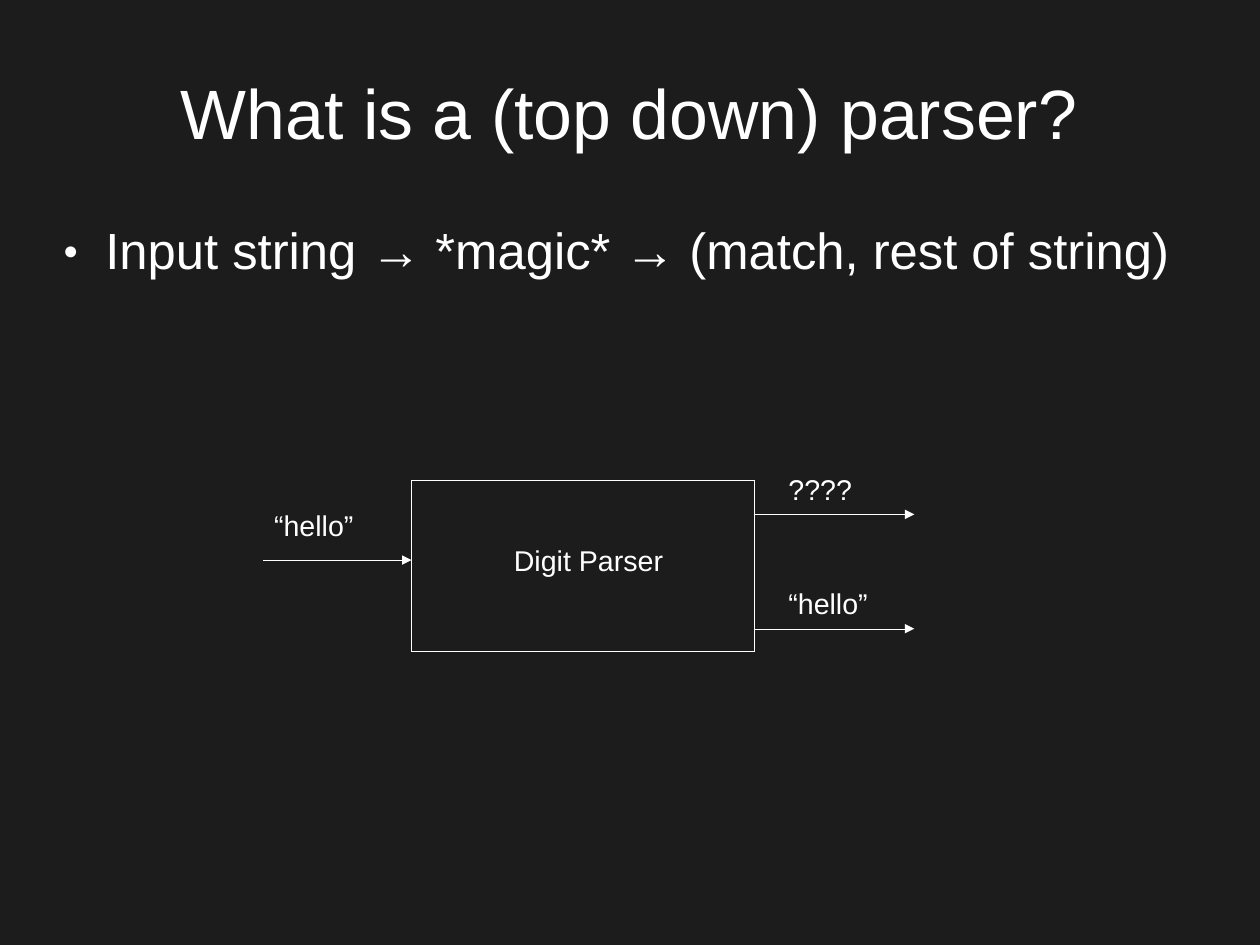
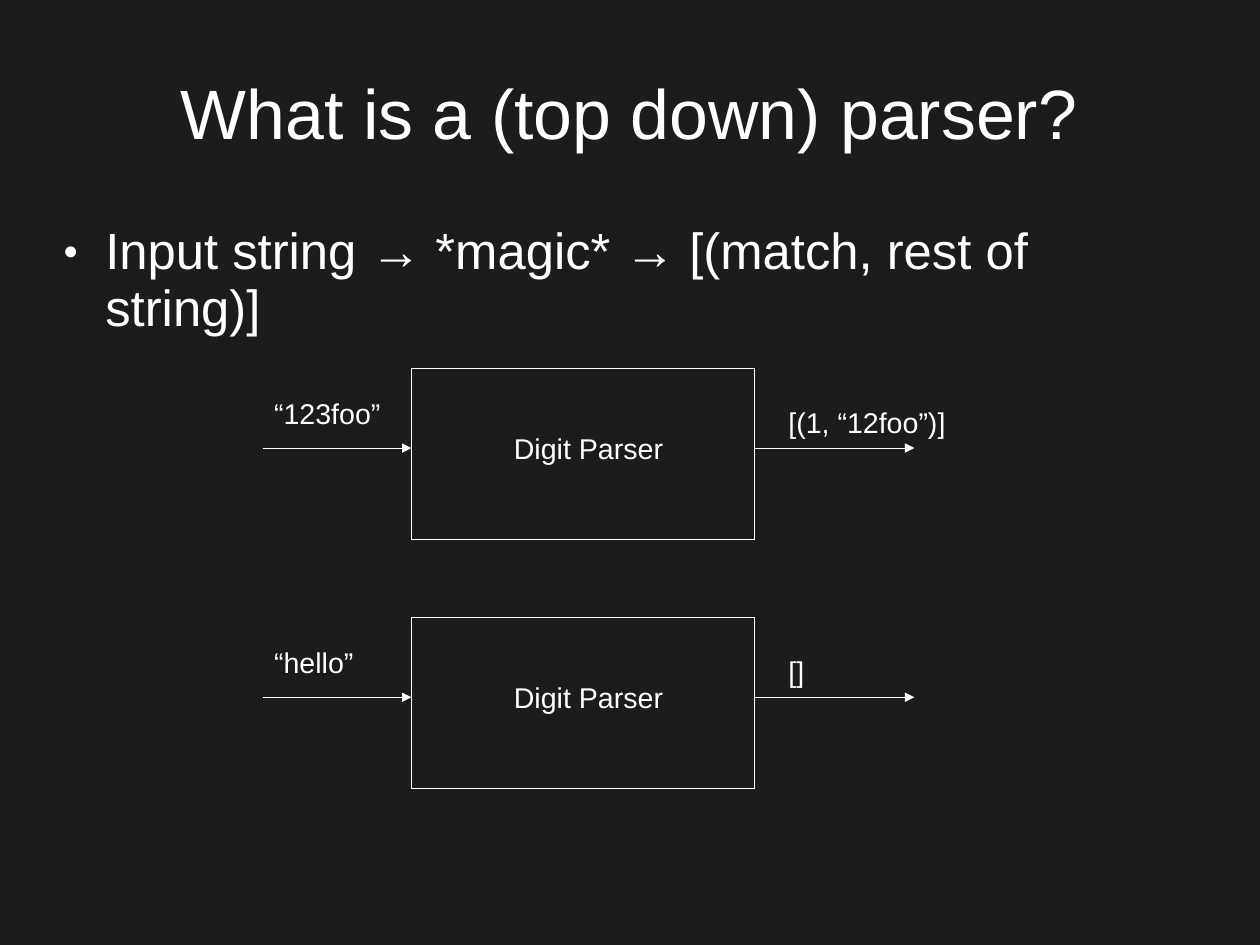
from lxml import etree
from pptx import Presentation
from pptx.dml.color import RGBColor
from pptx.enum import shapes, text
from pptx.oxml import ns
from pptx.util import Pt

COLORS = {"background": "1C1C1C", "ink": "FFFFFF"}
FONT = "Arial"
LINE_SPACING = 0.94
SLIDE_SIZE = (793.75, 595.25)

# Boxes: left, top, width, height in points
TITLE_BOX = (39.6, 23.5, 714.24, 99.36)
BODY_BOX = (39.7, 138.7, 714.24, 344.88)
PARSER_LEFT, PARSER_WIDTH, PARSER_HEIGHT = 259.2, 216, 108

# Parts of a diagram, measured from its parser box
INPUT_LENGTH, OUTPUT_LENGTH = 93.6, 100.8
INPUT_Y = 50.4
LABEL_HEIGHT = 28.8
INPUT_LABEL_RISE = 34.56
OUTPUT_LABEL_INDENT, OUTPUT_LABEL_WIDTH = 14.4, 129.6

TITLE = "What is a (top down) parser?"
# Each diagram: top, input, outputs as (height of the arrow below the top, label)
SLIDES = [
    ("Input string → *magic* → (match, rest of string)",
     [(302.4, "“hello”", [(21.6, "????"), (93.6, "“hello”")])]),
    ("Input string → *magic* → [(match, rest of string)]",
     [(231.84, "“123foo”", [(INPUT_Y, "[(1, “12foo”)]")]),
      (388.8, "“hello”", [(INPUT_Y, "[]")])]),
]


def color(key):
    return RGBColor.from_string(COLORS[key])


def points(values):
    return [Pt(round(value, 2)) for value in values]


def set_all(target, values):
    for name, value in values.items():
        setattr(target, name, value)


def add_element(parent, tag, **attributes):
    return etree.SubElement(parent, ns.qn(tag), attributes)


def write(shape, wording, size, insets, align=text.PP_ALIGN.LEFT,
          anchor=text.MSO_ANCHOR.TOP, bullet=False):
    """Fill a shape with one paragraph; insets are left, top, right, bottom."""
    frame = shape.text_frame
    sides = ("margin_left", "margin_top", "margin_right", "margin_bottom")
    set_all(frame, dict(zip(sides, points(insets)), word_wrap=True,
                        vertical_anchor=anchor))
    paragraph = frame.paragraphs[0]
    paragraph.text = wording
    if bullet:
        add_bullet(paragraph)
    set_all(paragraph, {"alignment": align, "line_spacing": LINE_SPACING})
    set_all(paragraph.font, {"name": FONT, "size": Pt(size)})
    paragraph.font.color.rgb = color("ink")


def add_bullet(paragraph):
    properties = paragraph._p.get_or_add_pPr()
    properties.set("marL", str(Pt(26.64)))
    properties.set("indent", str(Pt(-26.64)))
    bullet_color = add_element(properties, "a:buClr")
    add_element(bullet_color, "a:srgbClr", val=COLORS["ink"])
    add_element(properties, "a:buSzPct", val="50000")
    add_element(properties, "a:buFont", typeface=FONT)
    add_element(properties, "a:buChar", char="●")


def set_hairline(shape):
    """Colour the outline; a zero width must be written out to override the style."""
    shape.line.color.rgb = color("ink")
    outline = shape.element.spPr.find(ns.qn("a:ln"))
    outline.set("w", "0")
    return outline


def add_arrow(slide, left, y, length):
    arrow = slide.shapes.add_connector(
        shapes.MSO_CONNECTOR.STRAIGHT, *points((left, y, left + length, y)))
    add_element(set_hairline(arrow), "a:tailEnd", type="triangle")
    add_element(arrow.element.spPr, "a:effectLst")


def add_label(slide, wording, box):
    label = slide.shapes.add_textbox(*points(box))
    write(label, wording, 18, (7.2, 3.6, 7.2, 3.6))


def add_diagram(slide, box, input_text, outputs):
    """Draw a parser in the box, with its input and outputs beside it."""
    left, top, width, height = box

    # Parser, its name set slightly right of and above the centre
    parser = slide.shapes.add_shape(shapes.MSO_SHAPE.RECTANGLE, *points(box))
    parser.shadow.inherit = False
    parser.fill.background()
    set_hairline(parser)
    write(parser, "Digit Parser", 18, (7.2, 0, 0, 5),
          text.PP_ALIGN.CENTER, text.MSO_ANCHOR.MIDDLE)

    # Input
    input_left, input_y = left - INPUT_LENGTH, top + INPUT_Y
    add_arrow(slide, input_left, input_y, INPUT_LENGTH)
    add_label(slide, input_text, (input_left, input_y - INPUT_LABEL_RISE,
                                  INPUT_LENGTH, LABEL_HEIGHT))

    # Outputs
    right = left + width
    for drop, output_text in outputs:
        output_y = top + drop
        add_arrow(slide, right, output_y, OUTPUT_LENGTH)
        add_label(slide, output_text,
                  (right + OUTPUT_LABEL_INDENT, output_y - LABEL_HEIGHT,
                   OUTPUT_LABEL_WIDTH, LABEL_HEIGHT))


def add_parser_slide(prs, statement, diagrams):
    slide = prs.slides.add_slide(prs.slide_layouts[6])

    # Title and statement
    title = slide.shapes.add_textbox(*points(TITLE_BOX))
    write(title, TITLE, 44, (0, 0, 0, 0),
          text.PP_ALIGN.CENTER, text.MSO_ANCHOR.MIDDLE)
    body = slide.shapes.add_textbox(*points(BODY_BOX))
    write(body, statement, 32, (0, 2.16, 0, 2.16), bullet=True)

    # Diagrams
    for top, input_text, outputs in diagrams:
        box = (PARSER_LEFT, top, PARSER_WIDTH, PARSER_HEIGHT)
        add_diagram(slide, box, input_text, outputs)


def main():
    prs = Presentation()
    prs.slide_width, prs.slide_height = points(SLIDE_SIZE)
    background = prs.slide_master.background.fill
    background.solid()
    background.fore_color.rgb = color("background")
    for statement, diagrams in SLIDES:
        add_parser_slide(prs, statement, diagrams)
    prs.save("out.pptx")


if __name__ == "__main__":
    main()
